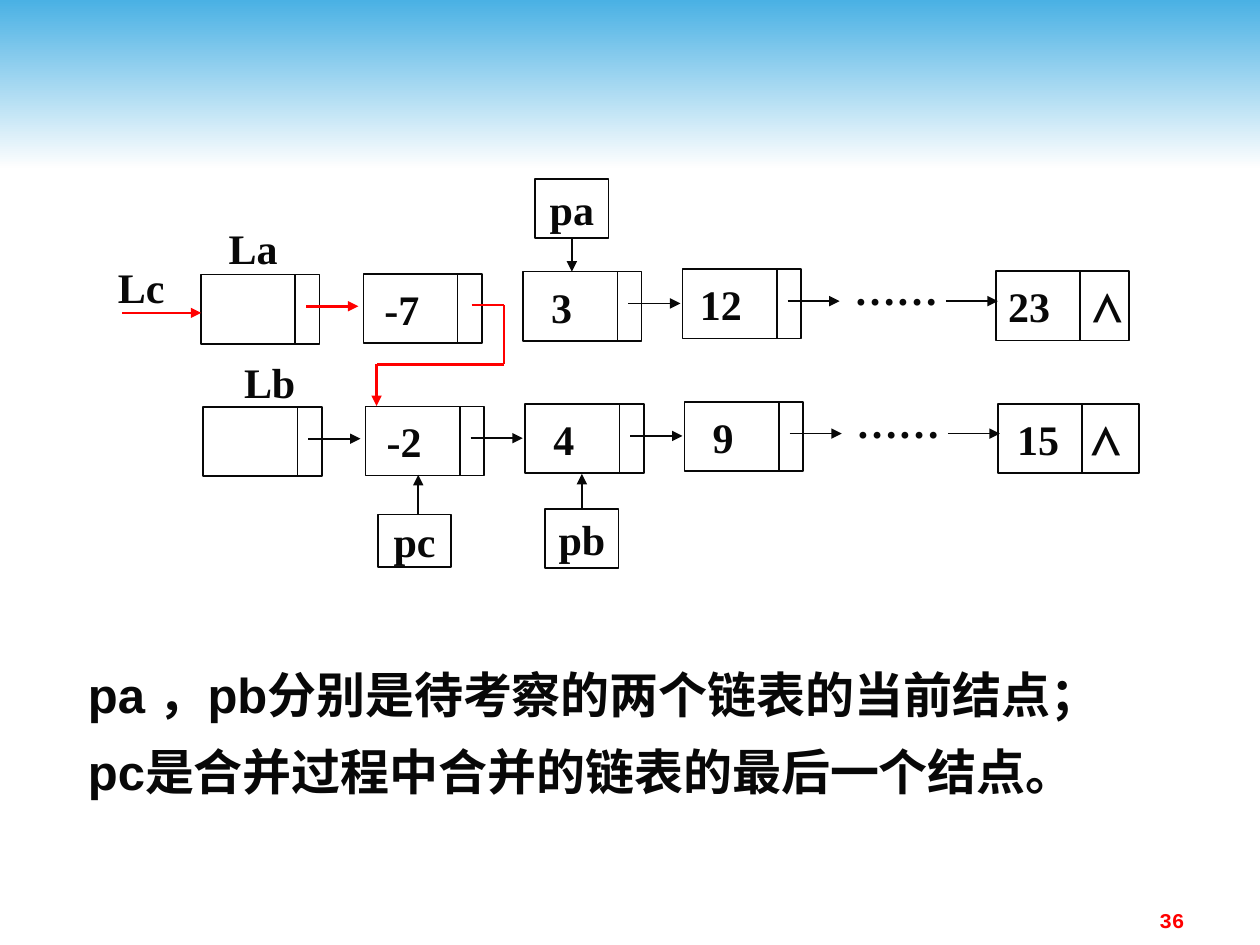
from lxml import etree
from pptx import Presentation
from pptx.dml.color import RGBColor
from pptx.enum.shapes import MSO_CONNECTOR, MSO_SHAPE
from pptx.enum.text import MSO_ANCHOR, PP_ALIGN
from pptx.oxml.ns import qn
from pptx.util import Pt

STRAIGHT = MSO_CONNECTOR.STRAIGHT
RECTANGLE = MSO_SHAPE.RECTANGLE
MIDDLE, TOP = MSO_ANCHOR.MIDDLE, MSO_ANCHOR.TOP
LEFT, CENTER, RIGHT = PP_ALIGN.LEFT, PP_ALIGN.CENTER, PP_ALIGN.RIGHT
INK, RED = "080808", "FF0000"
SERIF, SANS, MONO = "Times New Roman", "Arial", "Courier New"
NODE_WIDTH, NODE_HEIGHT, DATA_WIDTH = 67.7, 39.6, 53.8
NODE_LEFTS = [115, 207.7, 299, 390]
NODE_TOPS = [156.8, 156.5, 155.2, 153.9]


def color(value):
    return RGBColor.from_string(value)


class ListDiagram:
    def __init__(self, page):
        self.page = page

    def banner(self, width, height, start, end):
        box = self.page.shapes.add_shape(RECTANGLE, 0, 0, Pt(width), Pt(height))
        box.shadow.inherit = False
        box.line.fill.background()
        box.fill.gradient()
        box.fill.gradient_angle = 270
        for stop, value in zip(box.fill.gradient_stops, (start, end)):
            stop.color.rgb = color(value)

    def set_text(self, box, lines, size=24, font=SERIF, ink=INK, align=CENTER,
                 anchor=MIDDLE, wrap=False, insets=(7.2, 7.2), tab=None):
        frame = box.text_frame
        frame.word_wrap = wrap
        frame.vertical_anchor = anchor
        frame.margin_left, frame.margin_right = (Pt(inset) for inset in insets)
        frame.text = "\n".join(lines)
        for para in frame.paragraphs:
            para.alignment = align
            if tab:
                stops = etree.SubElement(para._p.get_or_add_pPr(), qn("a:tabLst"))
                etree.SubElement(stops, qn("a:tab"), pos=str(Pt(tab)), algn="l")
            para.font.name = font
            para.font.size = Pt(size)
            para.font.bold = True
            para.font.color.rgb = color(ink)
        return frame

    def text(self, left, top, width, height, lines, **style):
        box = self.page.shapes.add_textbox(Pt(left), Pt(top), Pt(width), Pt(height))
        return self.set_text(box, lines, **style)

    def frame(self, left, top, width, height, label="", **style):
        box = self.page.shapes.add_shape(
            RECTANGLE, Pt(left), Pt(top), Pt(width), Pt(height))
        box.shadow.inherit = False
        box.fill.background()
        box.line.color.rgb = color(INK)
        box.line.width = Pt(1)
        if label:
            self.set_text(box, [label], **style)
        return box

    def line(self, x1, y1, x2, y2, ink=INK, arrow=False):
        line = self.page.shapes.add_connector(STRAIGHT, Pt(x1), Pt(y1), Pt(x2), Pt(y2))
        line.line.color.rgb = color(ink)
        line.line.width = Pt(1.5 if ink == RED else 1)
        properties = line._element.spPr
        if arrow:
            etree.SubElement(properties.get_or_add_ln(), qn("a:tailEnd"), type="triangle")
        etree.SubElement(properties, qn("a:effectLst"))
        return line

    def node(self, left, top, label="", width=NODE_WIDTH, data_width=DATA_WIDTH, **style):
        self.frame(left, top, width, NODE_HEIGHT, label, **style)
        divider = left + data_width
        self.line(divider, top, divider, top + NODE_HEIGHT)

    def chain(self, dx, dy, labels, arrow_inks, last, last_width, last_inset, tab):
        for left, top, label, ink in zip(NODE_LEFTS, NODE_TOPS, labels, arrow_inks):
            x, y = left + dx, top + dy
            self.node(x, y, label, insets=(0, 23.7))
            if ink:
                self.line(x + 60, y + 18.2, x + 89.8, y + 18.2, ink, arrow=True)
        self.text(478.2 + dx, 145.4 + dy, NODE_WIDTH, NODE_HEIGHT, ["……"])
        self.line(540.5 + dx, 172.1 + dy, 570.2 + dx, 172.1 + dy, arrow=True)
        self.node(569 + dx, 155 + dy, last, last_width, 48.2, align=LEFT, wrap=True,
                  insets=(last_inset, 0), tab=tab)

    def pointer(self, left, top, height, label, tip, side):
        box = self.frame(left, top, 41.8, height, label)
        middle = left + 20.9
        start = top + (height if side == 2 else 0)
        arrow = self.line(middle, start, middle, tip, arrow=True)
        arrow.begin_connect(box, side)

    def bent_arrow(self, points, ink):
        for start, end in zip(points, points[1:]):
            self.line(*start, *end, ink, arrow=end == points[-1])


def main():
    deck = Presentation()
    deck.slide_width, deck.slide_height = Pt(720), Pt(540)
    diagram = ListDiagram(deck.slides.add_slide(deck.slide_layouts[6]))
    diagram.banner(720, 96, "4AB1E4", "FEFEFE")

    diagram.chain(0, 0, ["", "-7", "3", "12"], [RED, None, INK, INK],
                  "23\t⋀", 76.3, 7.2, 48)
    diagram.chain(1.2, 75.7, ["", "-2", "4", "9"], [INK] * 4,
                  "15\t⋀", 80.6, 11, 42)

    diagram.text(120.2, 123.8, 49, 36, ["La"])
    diagram.text(121, 200.2, 66.2, 36, ["Lb"])
    diagram.text(59.8, 149, 41.8, 30.2, ["Lc"])
    diagram.line(69.8, 178.8, 115, 178.8, RED, arrow=True)
    diagram.bent_arrow([(269.5, 174.2), (288, 174.2), (288, 208.2),
                        (215.2, 208.2), (215.2, 232)], RED)

    diagram.pointer(305.9, 102.2, 33.8, "pa", 155.2, 2)
    diagram.pointer(311.6, 290.8, 33.8, "pb", 270.8, 0)
    diagram.frame(216, 294, 41.8, 30.2, "pc")
    diagram.line(239, 294, 239, 271.4, arrow=True)

    notes = diagram.text(
        43.2, 372.8, 624.2, 112.5,
        ["pa ，pb分别是待考察的两个链表的当前结点；",
         "pc是合并过程中合并的链表的最后一个结点。"],
        size=28, font=SANS, align=LEFT, anchor=TOP, wrap=True)
    for para in notes.paragraphs:
        para.line_spacing = 1.1
    notes.paragraphs[1].space_before = Pt(7)
    diagram.text(516.2, 514.8, 167.8, 19.4, ["36"], size=12, font=MONO, ink=RED,
                 align=RIGHT, anchor=TOP, wrap=True)
    deck.save("out.pptx")


if __name__ == "__main__":
    main()
